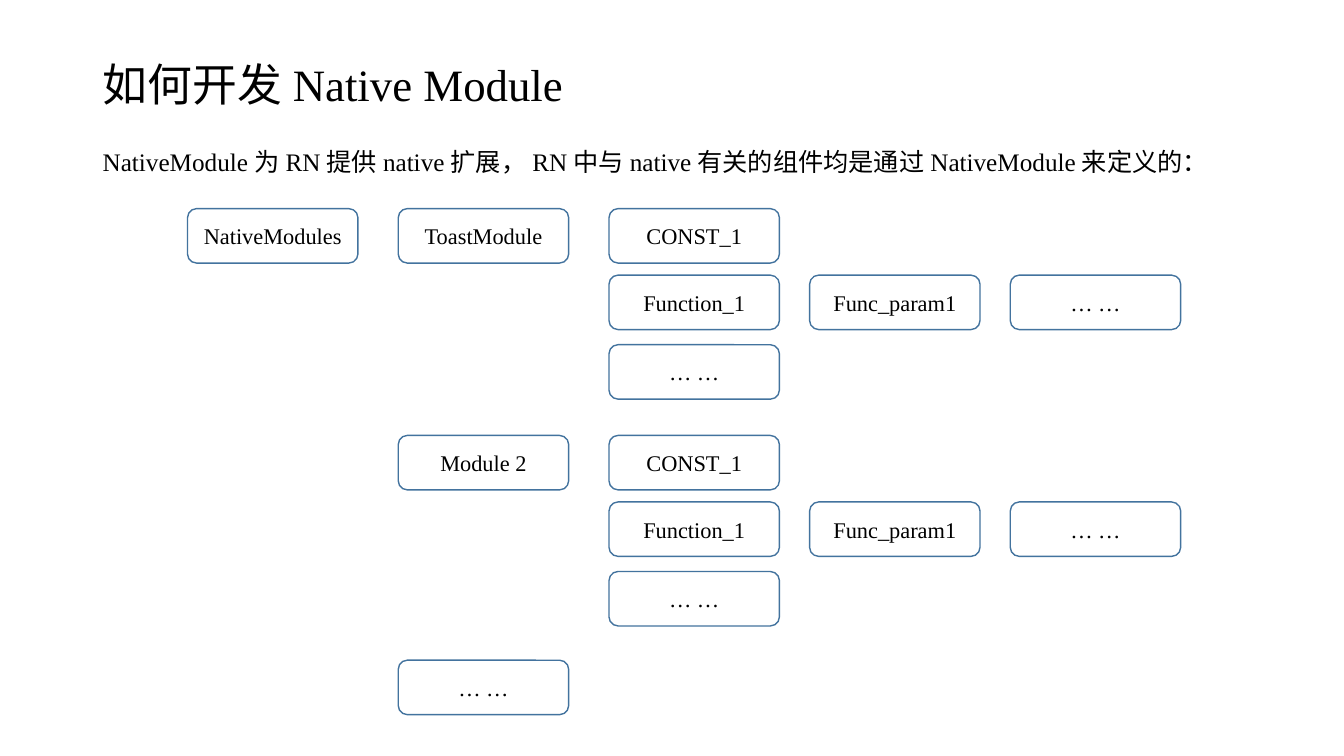
from dataclasses import dataclass

from pptx import Presentation
from pptx.dml.color import RGBColor
from pptx.enum.shapes import MSO_SHAPE
from pptx.enum.text import MSO_ANCHOR, PP_ALIGN
from pptx.util import Emu, Pt

ROUND = MSO_SHAPE.ROUNDED_RECTANGLE
MIDDLE, TOP = MSO_ANCHOR.MIDDLE, MSO_ANCHOR.TOP
CENTER, LEFT = PP_ALIGN.CENTER, PP_ALIGN.LEFT
SCALE = 9144  # EMU per px, 100 px to the inch


@dataclass(frozen=True)
class Theme:
    font: str = "Times New Roman"
    ink: RGBColor = RGBColor(0, 0, 0)
    paper: RGBColor = RGBColor(255, 255, 255)
    edge: RGBColor = RGBColor(0x43, 0x73, 0x9E)
    title: int = 32
    body: int = 18
    label: int = 16


def px(n):
    return Emu(n * SCALE)


class Canvas:
    def __init__(self, slide, theme):
        self.slide = slide
        self.theme = theme

    def letter(self, shape, text, size, align, anchor):
        frame = shape.text_frame
        frame.word_wrap = True
        frame.vertical_anchor = anchor
        frame.text = text
        par = frame.paragraphs[0]
        par.alignment = align
        font = par.runs[0].font
        font.name = self.theme.font
        font.size = Pt(size)
        font.color.rgb = self.theme.ink

    def text(self, x, y, w, h, text, size, anchor=TOP):
        shape = self.slide.shapes.add_textbox(px(x), px(y), px(w), px(h))
        self.letter(shape, text, size, LEFT, anchor)

    def box(self, x, y, w, h, text):
        shape = self.slide.shapes.add_shape(ROUND, px(x), px(y), px(w), px(h))
        shape.shadow.inherit = False
        shape.fill.solid()
        shape.fill.fore_color.rgb = self.theme.paper
        shape.line.color.rgb = self.theme.edge
        shape.line.width = Pt(1)
        self.letter(shape, text, self.theme.label, CENTER, MIDDLE)


def main():
    prs = Presentation()
    prs.slide_width, prs.slide_height = px(1333), px(750)
    theme = Theme()
    canvas = Canvas(prs.slides.add_slide(prs.slide_layouts[6]), theme)

    # Heading and lead sentence
    canvas.text(92, 40, 1150, 86, "如何开发Native Module", theme.title, MIDDLE)
    canvas.text(
        92, 140, 1150, 40,
        "NativeModule为RN提供native扩展，RN中与native有关的组件均是通过NativeModule来定义的：",
        theme.body,
    )

    # Tree columns: root, module, member, parameter, further parameters
    root, module, *cols = 186, 395, 604, 803, 1002
    wide, high = 169, 54
    top, step = 207, 225
    more = "… …"
    members = [
        (0, ["CONST_1"]),
        (66, ["Function_1", "Func_param1", more]),
        (135, [more]),
    ]

    canvas.box(root, top, wide, high, "NativeModules")

    # Modules with their members
    for i, name in enumerate(["ToastModule", "Module 2"]):
        y = top + i * step
        canvas.box(module, y, wide, high, name)
        for drop, labels in members:
            for x, label in zip(cols, labels):
                canvas.box(x, y + drop, wide, high, label)

    # Further modules
    canvas.box(module, 655, wide, high, more)

    prs.save("out.pptx")


if __name__ == "__main__":
    main()
